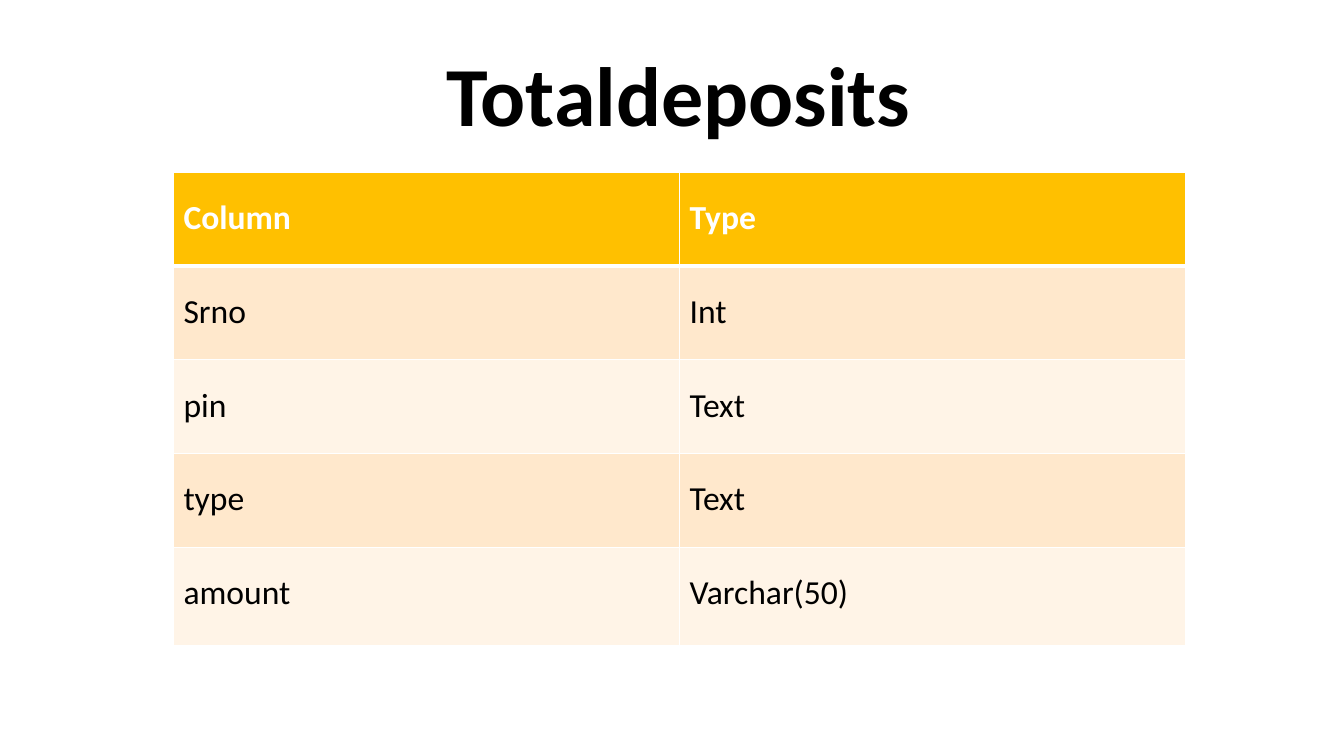
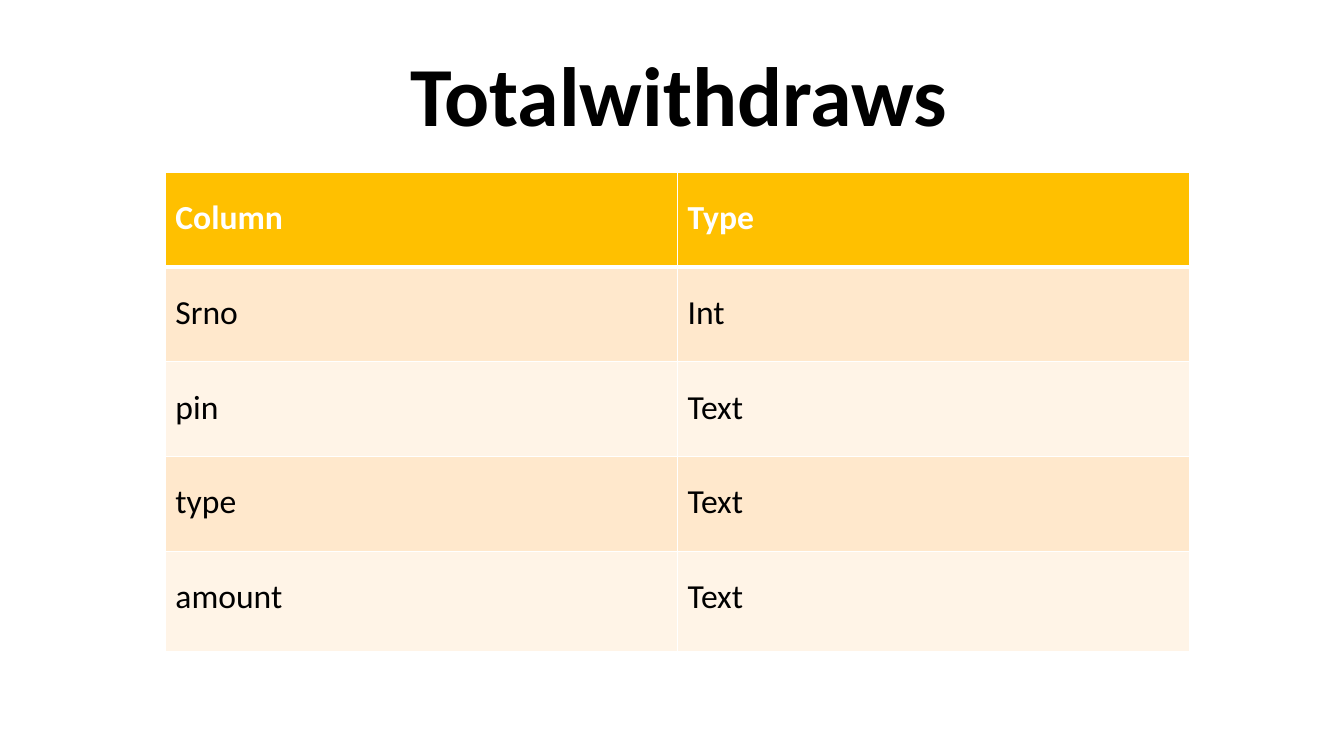
"""Build two slides that each describe a database table."""
from pptx import Presentation
from pptx.dml.color import RGBColor
from pptx.enum.text import MSO_ANCHOR, PP_ALIGN
from pptx.oxml.ns import qn
from pptx.util import Pt
from lxml.etree import SubElement

PX = 9144
FONT = "Calibri"
WHITE, BLACK, GOLD = "FFFFFF", "000000", "FFC000"
BANDS = ("FFE8CC", "FFF4E7")
SLIDE_SIZE = (1333, 750)
TITLE_BOX = (98, 26, 1150, 145)
TABLE_TOP = 171
HEADER = ("Column", "Type")

SLIDES = [
    {
        "title": "Totaldeposits",
        "left": 172, "col_width": 502, "row_height": 93, "last_height": 98,
        "rows": [("Srno", "Int"), ("pin", "Text"), ("type", "Text"),
                 ("amount", "Varchar(50)")],
    },
    {
        "title": "Totalwithdraws",
        "left": 164, "col_width": 508, "row_height": 94, "last_height": 100,
        "rows": [("Srno", "Int"), ("pin", "Text"), ("type", "Text"),
                 ("amount", "Text")],
    },
]


def color(value):
    return RGBColor.from_string(value)


def emu(*lengths):
    return [n * PX for n in lengths]


def style_run(p, size, value, bold):
    font = p.runs[0].font
    font.name, font.size, font.bold = FONT, Pt(size), bold
    font.color.rgb = color(value)


def add_title(s, text):
    tf = s.shapes.add_textbox(*emu(*TITLE_BOX)).text_frame
    tf.word_wrap = True
    tf.vertical_anchor = MSO_ANCHOR.MIDDLE
    tf.text = text
    p = tf.paragraphs[0]
    p.alignment = PP_ALIGN.CENTER
    p.line_spacing = 0.9
    style_run(p, 60, BLACK, True)


def add_borders(cell, top, bottom):
    props = cell._tc.get_or_add_tcPr()
    for side, width in (("L", 1), ("R", 1), ("T", top), ("B", bottom)):
        ln = SubElement(props, qn(f"a:ln{side}"), w=str(Pt(width)))
        fill = SubElement(ln, qn("a:solidFill"))
        SubElement(fill, qn("a:srgbClr"), val=WHITE)


def fill_cell(cell, text, row):
    header = row == 0
    add_borders(cell, 3 if row == 1 else 1, 3 if header else 1)
    cell.fill.solid()
    cell.fill.fore_color.rgb = color(GOLD if header else BANDS[(row - 1) % 2])
    cell.text_frame.text = text
    p = cell.text_frame.paragraphs[0]
    p.line_spacing = 1.5
    p.space_after = Pt(8)
    style_run(p, 24, WHITE if header else BLACK, header)


def add_schema(s, data):
    rows = [HEADER] + data["rows"]
    heights = [data["row_height"]] * (len(rows) - 1) + [data["last_height"]]
    width = data["col_width"] * len(HEADER)
    box = emu(data["left"], TABLE_TOP, width, sum(heights))
    table = s.shapes.add_table(len(rows), len(HEADER), *box).table
    for col in table.columns:
        col.width = data["col_width"] * PX
    for i, (texts, height) in enumerate(zip(rows, heights)):
        table.rows[i].height = height * PX
        for j, text in enumerate(texts):
            fill_cell(table.cell(i, j), text, i)


def main():
    prs = Presentation()
    prs.slide_width, prs.slide_height = emu(*SLIDE_SIZE)
    for data in SLIDES:
        s = prs.slides.add_slide(prs.slide_layouts[6])
        add_schema(s, data)
        add_title(s, data["title"])
    prs.save("out.pptx")


if __name__ == "__main__":
    main()
